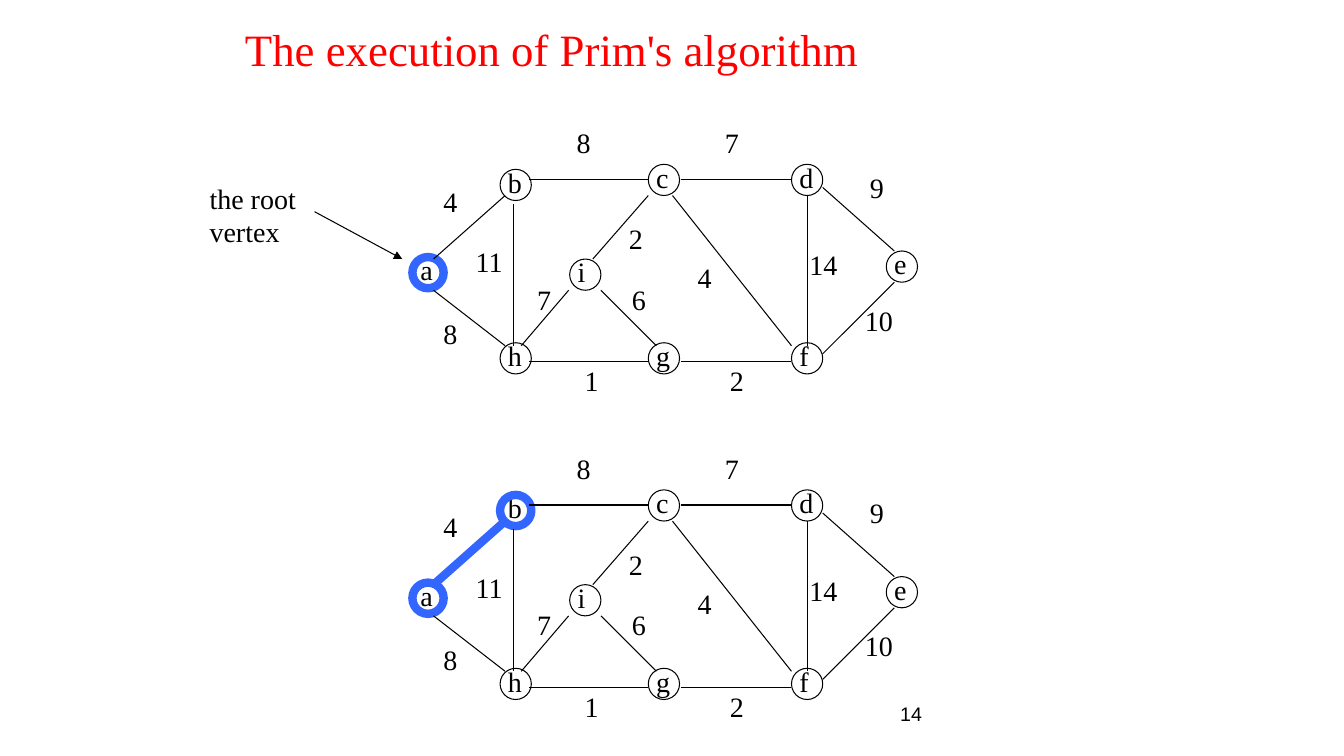
from typing import NamedTuple

from lxml import etree
from pptx import Presentation
from pptx.dml.color import RGBColor
from pptx.enum.shapes import MSO_CONNECTOR, MSO_SHAPE
from pptx.enum.text import MSO_ANCHOR, MSO_AUTO_SIZE, PP_ALIGN
from pptx.oxml.ns import qn
from pptx.util import Inches, Pt

OVAL = MSO_SHAPE.OVAL
STRAIGHT = MSO_CONNECTOR.STRAIGHT
LEFT = PP_ALIGN.LEFT
TOP, MIDDLE = MSO_ANCHOR.TOP, MSO_ANCHOR.MIDDLE
NO_FIT = MSO_AUTO_SIZE.NONE

SERIF, SANS = "Times New Roman", "Arial"
BLACK, BLUE, RED = "000000", "3366FF", "FF0000"
THIN, THICK = 0.75, 6
SIZE = 0.31  # diameter of a vertex


class Node(NamedTuple):
    name: str
    x: float
    y: float
    wide: float


class Edge(NamedTuple):
    ends: str
    start: tuple[float, float]
    stop: tuple[float, float]
    cost: str
    spot: tuple[float, float]


class Stage(NamedTuple):
    drop: float
    tree: set[str]


NODES = [
    Node("a", 4.09, 2.55, 0.32),
    Node("b", 4.96, 1.68, 0.34),
    Node("h", 4.96, 3.4, 0.34),
    Node("c", 6.43, 1.63, 0.32),
    Node("d", 7.85, 1.63, 0.34),
    Node("e", 8.79, 2.49, 0.32),
    Node("f", 7.85, 3.4, 0.29),
    Node("g", 6.43, 3.4, 0.34),
    Node("i", 5.65, 2.57, 0.28),
]
EDGES = [
    Edge("ab", (4.3, 2.57), (5.01, 1.94), "4", (4.3, 1.78)),
    Edge("ah", (4.3, 2.88), (5.01, 3.43), "8", (4.3, 3.09)),
    Edge("bh", (5.09, 2.02), (5.09, 3.43), "11", (4.62, 2.38)),
    Edge("bc", (5.25, 1.78), (6.43, 1.78), "8", (5.62, 1.2)),
    Edge("hg", (5.25, 3.59), (6.43, 3.59), "1", (5.7, 3.56)),
    Edge("gf", (6.75, 3.59), (7.85, 3.59), "2", (7.14, 3.56)),
    Edge("cf", (6.67, 1.94), (7.85, 3.43), "4", (6.82, 2.54)),
    Edge("cd", (6.75, 1.78), (7.85, 1.78), "7", (7.09, 1.2)),
    Edge("df", (8.01, 1.94), (8.01, 3.43), "14", (7.93, 2.41)),
    Edge("de", (8.16, 1.86), (8.87, 2.49), "9", (8.53, 1.64)),
    Edge("fe", (8.16, 3.51), (8.87, 2.8), "10", (8.48, 2.96)),
    Edge("ig", (5.96, 2.88), (6.51, 3.43), "6", (6.17, 2.75)),
    Edge("hi", (5.17, 3.43), (5.64, 2.88), "7", (5.23, 2.75)),
    Edge("ic", (5.88, 2.57), (6.43, 1.94), "2", (6.14, 2.15)),
]
STAGES = [Stage(0, {"a"}), Stage(3.23, {"a", "b", "ab"})]


def paint(text: str) -> RGBColor:
    return RGBColor.from_string(text)


def fill_text(shape, text: str, size: float, face: str, color: str) -> None:
    """Set left-aligned text in one format."""
    para = shape.text_frame.paragraphs[0]
    para.text = text
    para.alignment = LEFT
    font = para.runs[0].font
    font.size, font.name = Pt(size), face
    font.color.rgb = paint(color)


def add_label(shapes, text: str, x: float, y: float, wide: float,
              high: float = 0.44, wrap: bool = False,
              size: float = 20, face: str = SERIF):
    box = shapes.add_textbox(Inches(x), Inches(y), Inches(wide), Inches(high))
    box.text_frame.word_wrap = wrap
    fill_text(box, text, size, face, BLACK)
    return box


def set_line(shape, bold: bool) -> None:
    """Give a blue thick line to the tree and a thin black one to the rest."""
    shape.line.color.rgb = paint(BLUE if bold else BLACK)
    shape.line.width = Pt(THICK if bold else THIN)


def add_line(shapes, start: tuple[float, float], stop: tuple[float, float],
             drop: float = 0, bold: bool = False):
    line = shapes.add_connector(
        STRAIGHT, Inches(start[0]), Inches(start[1] + drop),
        Inches(stop[0]), Inches(stop[1] + drop))
    set_line(line, bold)
    etree.SubElement(line.element.spPr, qn("a:effectLst"))
    return line


def add_node(shapes, node: Node, drop: float, bold: bool) -> None:
    y = node.y + drop
    add_label(shapes, node.name, node.x - 0.02, y - 0.09, node.wide, 0.43)
    ring = shapes.add_shape(
        OVAL, Inches(node.x), Inches(y), Inches(SIZE), Inches(SIZE))
    ring.shadow.inherit = False
    ring.fill.background()
    set_line(ring, bold)


def add_graph(slide, stage: Stage) -> None:
    shapes = slide.shapes.add_group_shape().shapes
    for node in NODES:
        add_node(shapes, node, stage.drop, node.name in stage.tree)
    for edge in EDGES:
        add_line(shapes, edge.start, edge.stop, stage.drop,
                 edge.ends in stage.tree)
    for edge in EDGES:
        x, y = edge.spot
        add_label(shapes, edge.cost, x, y + stage.drop,
                  0.2 + 0.14 * len(edge.cost))


def add_title(slide) -> None:
    title = slide.shapes.title
    title.left, title.top = Inches(2.33), Inches(0.17)
    title.width, title.height = Inches(8.58), Inches(0.64)
    frame = title.text_frame
    frame.vertical_anchor, frame.auto_size = TOP, NO_FIT
    fill_text(title, "The execution of Prim's algorithm", 32, SERIF, RED)


def main() -> None:
    deck = Presentation()
    deck.slide_width, deck.slide_height = Inches(13.33), Inches(7.5)
    slide = deck.slides.add_slide(deck.slide_layouts.get_by_name("Title Only"))
    add_title(slide)
    page = add_label(slide.shapes, "14", 8.83, 6.83, 2.08, 0.5, True, 14, SANS)
    page.text_frame.vertical_anchor = MIDDLE
    for stage in STAGES:
        add_graph(slide, stage)
    add_label(slide.shapes, "the root vertex", 1.98, 1.75, 1.34, 0.77, True)
    arrow = add_line(slide.shapes, (3.12, 2.1), (3.99, 2.57))
    outline = arrow.element.spPr.find(qn("a:ln"))
    etree.SubElement(outline, qn("a:tailEnd"), type="triangle")
    deck.save("out.pptx")


if __name__ == "__main__":
    main()
